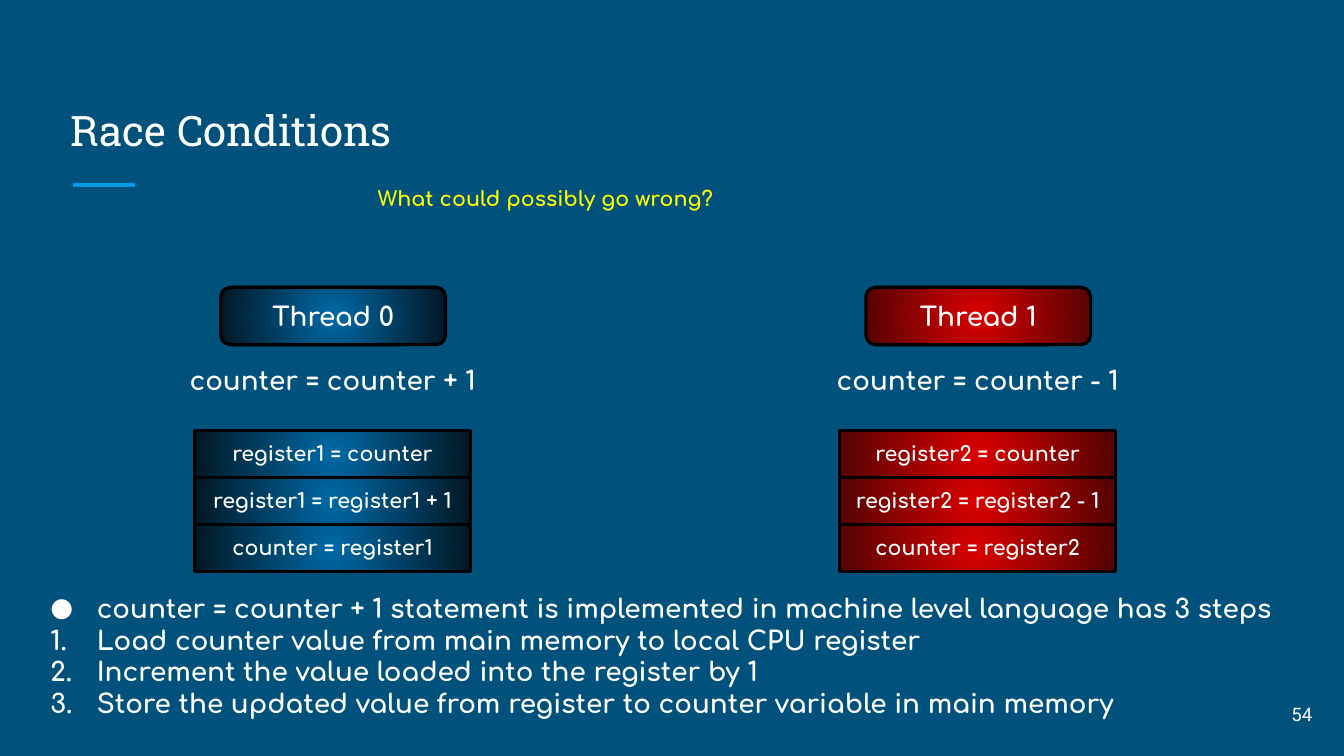
from lxml.etree import SubElement
from pptx import Presentation
from pptx.dml.color import RGBColor
from pptx.enum.shapes import MSO_CONNECTOR, MSO_SHAPE
from pptx.enum.text import MSO_ANCHOR, PP_ALIGN
from pptx.oxml.ns import qn
from pptx.util import Inches, Pt

NAVY = RGBColor(0x00, 0x51, 0x7C)
SKY = RGBColor(0x03, 0x9B, 0xE5)
WHITE = RGBColor(0xFF, 0xFF, 0xFF)
YELLOW = RGBColor(0xFF, 0xFF, 0x00)
BLACK = RGBColor(0x00, 0x00, 0x00)
BLUE_GLOW = (RGBColor(0x00, 0x6A, 0xA7), RGBColor(0x02, 0x17, 0x23))
RED_GLOW = (RGBColor(0xDB, 0x00, 0x00), RGBColor(0x54, 0x03, 0x03))

# The grid has 40 columns and 22.5 rows of square cells
COLUMNS, ROWS = 40, 22.5
CELL = Inches(13.33) / COLUMNS


def cells(*counts):
    return [round(count * CELL) for count in counts]


class Board:
    """Holds the deck, the current slide and the shared text style."""

    font, large, small = "Comfortaa", 18.7, 14.7
    inset = Inches(0.13)

    def __init__(self):
        self.deck = Presentation()
        self.deck.slide_width, self.deck.slide_height = cells(COLUMNS, ROWS)
        self.page = self.deck.slides.add_slide(self.deck.slide_layouts[6])
        background = self.page.background.fill
        background.solid()
        background.fore_color.rgb = NAVY

    def fill_text(self, shape, text, size, color=WHITE, font=font, bold=True,
                  align=PP_ALIGN.LEFT, anchor=MSO_ANCHOR.TOP):
        frame = shape.text_frame
        frame.text = text
        frame.word_wrap = True
        frame.vertical_anchor = anchor
        frame.margin_left = frame.margin_right = self.inset
        frame.margin_top = frame.margin_bottom = self.inset
        for para in frame.paragraphs:
            para.alignment = align
            for span in para.runs:
                span.font.name = font
                span.font.size = Pt(size)
                span.font.bold = bold
                span.font.color.rgb = color

    def text(self, place, text, size, **style):
        box = self.page.shapes.add_textbox(*cells(*place))
        self.fill_text(box, text, size, **style)
        return box

    def rule(self, start, end, color, width):
        line = self.page.shapes.add_connector(
            MSO_CONNECTOR.STRAIGHT, *cells(*start, *end))
        line.line.color.rgb = color
        line.line.width = Pt(width)
        SubElement(line._element.spPr, qn("a:effectLst"))

    def glow_box(self, kind, place, text, size, glow):
        box = self.page.shapes.add_shape(kind, *cells(*place))
        box.shadow.inherit = False
        box.line.color.rgb = BLACK
        box.line.width = Pt(2.25)
        box.fill.gradient()
        for stop, color in zip(box.fill.gradient_stops, glow):
            stop.color.rgb = color
        # Turn the linear gradient into a circular one
        gradient = box._element.spPr.find(qn("a:gradFill"))
        gradient.remove(gradient.find(qn("a:lin")))
        circle = SubElement(gradient, qn("a:path"), path="circle")
        SubElement(circle, qn("a:fillToRect"),
                   l="50000", t="50000", r="50000", b="50000")
        self.fill_text(box, text, size, align=PP_ALIGN.CENTER,
                       anchor=MSO_ANCHOR.MIDDLE)

    def steps(self, place, heading, items):
        """A bulleted heading followed by numbered items."""
        box = self.text(place, "\n".join([heading, *items]), self.large)
        for index, para in enumerate(box.text_frame.paragraphs):
            props = para._p.get_or_add_pPr()
            props.set("marL", str(Inches(0.67)))
            props.set("indent", str(Inches(-0.46)))
            color = SubElement(props, qn("a:buClr"))
            SubElement(color, qn("a:srgbClr"), val=str(WHITE))
            SubElement(props, qn("a:buFont"), typeface=self.font)
            if index:
                SubElement(props, qn("a:buAutoNum"), type="arabicPeriod")
            else:
                SubElement(props, qn("a:buChar"), char="●")

    def thread(self, left, name, formula, instructions, glow):
        """A thread's name, its statement and its stack of instructions."""
        self.glow_box(MSO_SHAPE.ROUNDED_RECTANGLE,
                      (left + 1.53, 8.55, 6.69, 1.71), name, self.large, glow)
        self.text((left, 10.46, 9.72, 1.74), formula, self.large,
                  align=PP_ALIGN.CENTER)
        for index, instruction in enumerate(instructions):
            self.glow_box(MSO_SHAPE.RECTANGLE,
                          (left + 0.75, 12.8 + 1.4 * index, 8.22, 1.4),
                          instruction, self.small, glow)


def main():
    board = Board()

    # Heading and question
    board.rule((2.16, 5.5), (4.02, 5.5), SKY, 3)
    board.text((1.71, 2, 36.6, 3), "Race Conditions", 30, font="Roboto Slab",
               bold=False, anchor=MSO_ANCHOR.BOTTOM)
    question = board.text((10.86, 5.25, 18.3, 2.22),
                          "What could possibly go wrong?", board.small,
                          color=YELLOW)
    question.text_frame.paragraphs[0].line_spacing = 0.95
    question.text_frame.paragraphs[0].space_after = Pt(16)

    # Page number
    board.text((37.05, 20.4, 2.4, 1.71), "54", 13.3, font="Roboto", bold=False,
               align=PP_ALIGN.RIGHT, anchor=MSO_ANCHOR.MIDDLE)

    # Explanation
    board.steps(
        (0.48, 17.25, 38.13, 4.59),
        "counter = counter + 1 statement is implemented in machine level "
        "language has 3 steps",
        ["Load counter value from main memory to local CPU register",
         "Increment the value loaded into the register by 1",
         "Store the updated value from register to counter variable in main "
         "memory"])

    # The two competing threads
    threads = [("+", BLUE_GLOW), ("-", RED_GLOW)]
    for index, (sign, glow) in enumerate(threads):
        register = f"register{index + 1}"
        board.thread(5.04 + 19.2 * index, f"Thread {index}",
                     f"counter = counter {sign} 1",
                     [f"{register} = counter",
                      f"{register} = {register} {sign} 1",
                      f"counter = {register}"], glow)

    board.deck.save("out.pptx")


if __name__ == "__main__":
    main()
